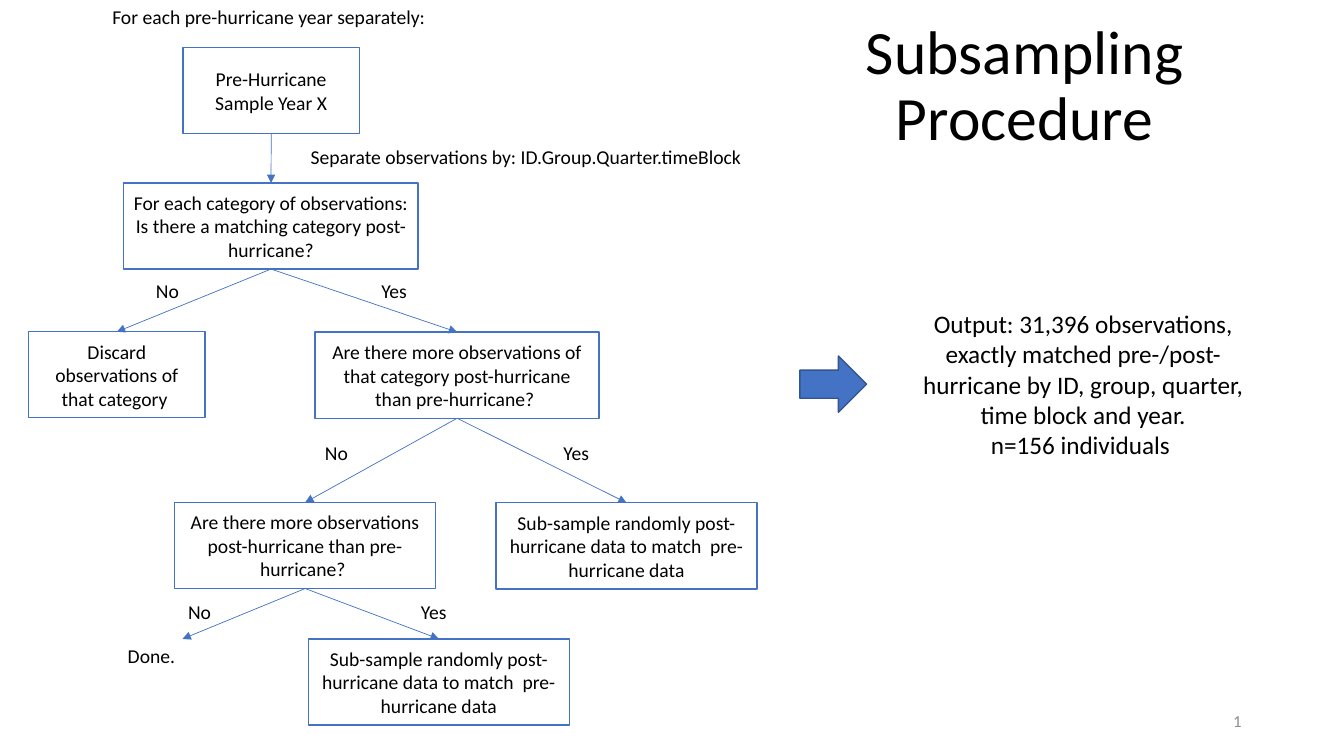
from dataclasses import dataclass

from lxml import etree
from pptx import Presentation
from pptx.dml.color import RGBColor
from pptx.enum.shapes import MSO_CONNECTOR, MSO_SHAPE
from pptx.enum.text import MSO_ANCHOR, MSO_AUTO_SIZE, PP_ALIGN
from pptx.oxml.ns import qn
from pptx.shapes.autoshape import Shape
from pptx.shapes.connector import Connector
from pptx.util import Cm, Pt

RECT, DOWN_ARROW = MSO_SHAPE.RECTANGLE, MSO_SHAPE.DOWN_ARROW
STRAIGHT = MSO_CONNECTOR.STRAIGHT
MIDDLE, FIT = MSO_ANCHOR.MIDDLE, MSO_AUTO_SIZE.SHAPE_TO_FIT_TEXT
LEFT, CENTER, RIGHT = PP_ALIGN.LEFT, PP_ALIGN.CENTER, PP_ALIGN.RIGHT
TOP_SITE, BOTTOM_SITE = 0, 2
BLUE, DARK_BLUE, BLACK, GREY = "4472C4", "325491", "000000", "8C8C8C"
FONT = "Calibri"
BOX_HEIGHT = 2.17
LABEL_HEIGHT = 0.86


@dataclass
class Box:
    key: str
    left: float
    top: float
    width: float
    text: str


@dataclass
class Label:
    left: float
    top: float
    width: float
    text: str
    height: float = LABEL_HEIGHT


SUBSAMPLE = "Sub-sample randomly post-hurricane data to match  pre-hurricane data"
BOXES = [
    Box("sample", 4.61, 1.2, 4.45, "Pre-Hurricane\nSample Year X"),
    Box("match", 3.12, 4.61, 7.42,
        "For each category of observations: Is there a matching category post-hurricane?"),
    Box("discard", 0.72, 8.36, 4.45, "Discard observations of that category "),
    Box("more post", 7.94, 8.37, 7.16,
        "Are there more observations of that category post-hurricane than pre-hurricane? "),
    Box("more again", 4.4, 12.66, 6.58,
        "Are there more observations post-hurricane than pre-hurricane? "),
    Box("subsample right", 12.5, 12.67, 6.58, SUBSAMPLE),
    Box("subsample bottom", 7.77, 16.1, 6.58, SUBSAMPLE),
]
LINKS = [
    ("sample", "match"),
    ("match", "discard"),
    ("match", "more post"),
    ("more post", "more again"),
    ("more post", "subsample right"),
    ("more again", "subsample bottom"),
]
NO_WIDTH, YES_WIDTH = 1.09, 1.17
LABELS = [
    Label(2.58, 0, 8.48, "For each pre-hurricane year separately:"),
    Label(7.58, 3.53, 11.48, "Separate observations by: ID.Group.Quarter.timeBlock", 1.45),
    Label(3.68, 6.9, NO_WIDTH, "No"),
    Label(9.36, 6.9, YES_WIDTH, "Yes"),
    Label(7.94, 10.98, NO_WIDTH, "No"),
    Label(13.95, 10.98, YES_WIDTH, "Yes"),
    Label(4.49, 14.99, NO_WIDTH, "No"),
    Label(10.36, 14.99, YES_WIDTH, "Yes"),
    Label(2.97, 16.1, 1.73, "Done."),
]
DONE_TIP = (4.6, 16.1)


def rgb(color: str) -> RGBColor:
    return RGBColor.from_string(color)


def set_text(s: Shape, text: str, size: float, align: PP_ALIGN, color: str = BLACK) -> None:
    tf = s.text_frame
    tf.text = text
    for p in tf.paragraphs:
        p.alignment = align
        for r in p.runs:
            r.font.name, r.font.size = FONT, Pt(size)
            r.font.color.rgb = rgb(color)


def add_box(shapes, box: Box) -> Shape:
    s = shapes.add_shape(RECT, Cm(box.left), Cm(box.top), Cm(box.width), Cm(BOX_HEIGHT))
    s.shadow.inherit = False
    s.fill.background()
    s.line.color.rgb, s.line.width = rgb(BLUE), Pt(1)
    s.text_frame.word_wrap = True
    s.text_frame.vertical_anchor = MIDDLE
    set_text(s, box.text, 14, CENTER)
    return s


def add_label(shapes, label: Label) -> None:
    s = shapes.add_textbox(Cm(label.left), Cm(label.top), Cm(label.width), Cm(label.height))
    s.text_frame.word_wrap = False
    s.text_frame.auto_size = FIT
    set_text(s, label.text, 14, LEFT)


def add_arrow(shapes, source: Shape, x: int = 0, y: int = 0) -> Connector:
    c = shapes.add_connector(STRAIGHT, 0, 0, x, y)
    c.begin_connect(source, BOTTOM_SITE)
    c.line.color.rgb, c.line.width = rgb(BLUE), Pt(0.5)
    etree.SubElement(c.line._get_or_add_ln(), qn("a:tailEnd"), type="triangle")
    etree.SubElement(c._element.spPr, qn("a:effectLst"))
    return c


def main() -> None:
    prs = Presentation()
    prs.slide_width, prs.slide_height = Cm(33.87), Cm(19.05)
    slide = prs.slides.add_slide(prs.slide_layouts[5])
    shapes = slide.shapes

    # Title
    title = shapes.title
    title.left, title.top, title.width, title.height = Cm(19.46), Cm(0.36), Cm(12.73), Cm(3.68)
    title.text_frame.vertical_anchor = MIDDLE
    set_text(title, "Subsampling Procedure", 44, CENTER)
    title.text_frame.paragraphs[0].line_spacing = 0.9

    # Decision tree
    nodes = {box.key: add_box(shapes, box) for box in BOXES}
    for source, target in LINKS:
        add_arrow(shapes, nodes[source]).end_connect(nodes[target], TOP_SITE)
    add_arrow(shapes, nodes["more again"], Cm(DONE_TIP[0]), Cm(DONE_TIP[1]))
    for label in LABELS:
        add_label(shapes, label)

    # Block arrow and output
    s = shapes.add_shape(DOWN_ARROW, Cm(20.29), Cm(8.84), Cm(1.42), Cm(1.68))
    s.rotation = 270
    s.shadow.inherit = False
    s.fill.solid()
    s.fill.fore_color.rgb = rgb(BLUE)
    s.line.color.rgb, s.line.width = rgb(DARK_BLUE), Pt(1)

    output = shapes.add_textbox(Cm(22.41), Cm(7.65), Cm(9.78), Cm(4.11))
    output.text_frame.word_wrap = True
    output.text_frame.auto_size = FIT
    set_text(output, "Output: 31,396 observations, exactly matched pre-/post-hurricane by ID, "
             "group, quarter, time block and year.\nn=156 individuals ", 18, CENTER)

    # Slide number
    number = shapes.add_textbox(Cm(23.92), Cm(17.65), Cm(7.62), Cm(1.02))
    number.text_frame.word_wrap = True
    number.text_frame.vertical_anchor = MIDDLE
    set_text(number, "1", 12, RIGHT, GREY)

    prs.save("out.pptx")


if __name__ == "__main__":
    main()
